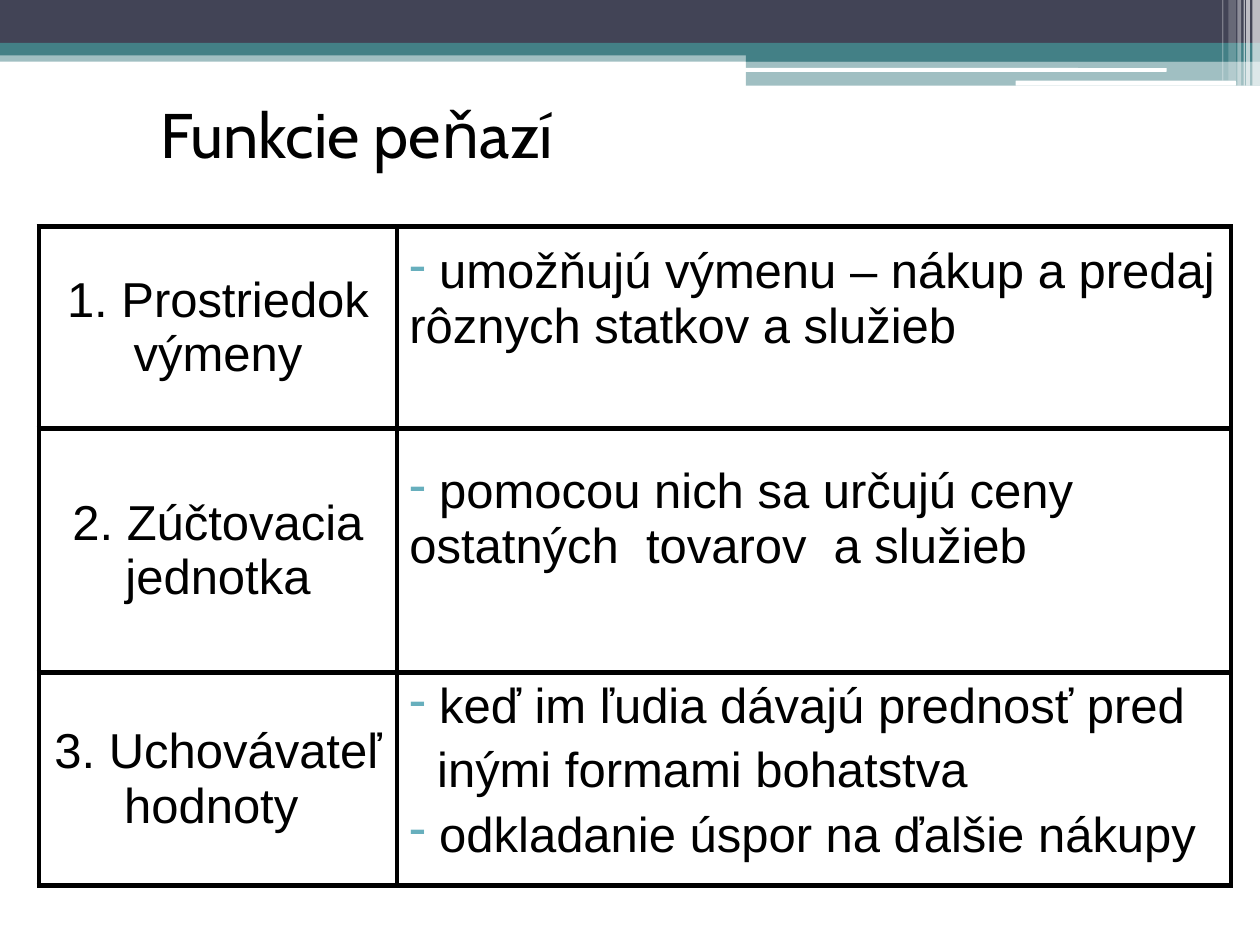
from lxml import etree
from pptx import Presentation
from pptx.dml.color import RGBColor
from pptx.enum.shapes import MSO_SHAPE
from pptx.enum.text import MSO_ANCHOR, MSO_AUTO_SIZE, PP_ALIGN
from pptx.oxml.ns import qn
from pptx.util import Inches, Pt

RECTANGLE, ROUNDED = MSO_SHAPE.RECTANGLE, MSO_SHAPE.ROUNDED_RECTANGLE
MIDDLE, TOP = MSO_ANCHOR.MIDDLE, MSO_ANCHOR.TOP
LEFT, CENTER = PP_ALIGN.LEFT, PP_ALIGN.CENTER
NO_AUTOFIT = MSO_AUTO_SIZE.NONE

WIDTH, HEIGHT = 10, 7.5
DARK, TEAL, WHITE, BLACK, BULLET = "424456", "438086", "FFFFFF", "000000", "67AFBD"
SPLIT = 5.92  # where the right-hand bands begin

# Horizontal bands: left, top, width, height, colour, opacity in percent
BANDS = [
    (0, 0.4, WIDTH, 0.09, TEAL, 50),
    (0, 0, WIDTH, 0.34, DARK, 100),
    (0, 0.34, WIDTH, 0.1, TEAL, 100),
    (SPLIT, 0.39, WIDTH - SPLIT, 0.1, TEAL, 100),
    (SPLIT, 0.48, WIDTH - SPLIT, 0.2, TEAL, 50),
]
# White rounded bars: left, top, width, height
BARS = [(5.91, 0.54, 3.35, 0.03), (8.06, 0.64, 1.75, 0.04)]
# White vertical stripes: left, width, height, opacity in percent
STRIPES = [
    (9.94, 0.06, 0.68, 65),
    (9.89, 0.03, 0.68, 65),
    (9.87, 0.01, 0.68, 60),
    (9.82, 0.03, 0.68, 40),
    (9.75, 0.06, 0.64, 20),
    (9.7, 0.01, 0.64, 30),
]

COLUMNS = [2.84, 6.62]
# Row height, function, its description as (text, bulleted), anchor, bottom margin
ROWS = [
    (1.6, "1. Prostriedok výmeny",
     [(" umožňujú výmenu – nákup a predaj rôznych statkov a služieb", True)],
     MIDDLE, 0.5),
    (1.94, "2. Zúčtovacia jednotka",
     [(" pomocou nich sa určujú ceny ostatných  tovarov  a služieb", True)],
     MIDDLE, 0.55),
    (1.69, "3. Uchovávateľ hodnoty ",
     [(" keď im ľudia dávajú prednosť pred", True),
      ("inými formami bohatstva", False),
      (" odkladanie úspor na ďalšie nákupy", True)],
     TOP, 0.05),
]


def color(value):
    return RGBColor.from_string(value)


def set_attributes(target, values):
    for name, value in values.items():
        setattr(target, name, value)


def format_font(font, name, size):
    set_attributes(font, {"name": name, "size": Pt(size), "bold": False})
    font.color.rgb = color(BLACK)


def add_block(slide, kind, box, fill, opacity=100):
    shape = slide.shapes.add_shape(kind, *(Inches(length) for length in box))
    shape.shadow.inherit = False
    shape.line.fill.background()
    shape.fill.solid()
    shape.fill.fore_color.rgb = color(fill)
    if opacity < 100:
        fill_color = shape.fill._xPr.find(qn("a:solidFill"))[0]
        etree.SubElement(fill_color, qn("a:alpha"), val=str(opacity * 1000))


def add_header(slide):
    for *box, fill, opacity in BANDS:
        add_block(slide, RECTANGLE, box, fill, opacity)
    for box in BARS:
        add_block(slide, ROUNDED, box, WHITE)
    for left, width, height, opacity in STRIPES:
        add_block(slide, RECTANGLE, (left, 0, width, height), WHITE, opacity)


def format_title(slide):
    title = slide.shapes.title
    set_attributes(title, {"left": Inches(1.17), "top": Inches(0.78),
                           "width": Inches(7.8), "height": Inches(0.55)})
    frame = title.text_frame
    frame.text = "Funkcie peňazí"
    set_attributes(frame, {"vertical_anchor": MIDDLE, "word_wrap": True,
                           "auto_size": NO_AUTOFIT})
    frame.paragraphs[0].alignment = LEFT
    format_font(frame.paragraphs[0].runs[0].font, "Cabin", 36)


def add_dash(paragraph):
    properties = paragraph._p.get_or_add_pPr()
    bullet_color = etree.SubElement(properties, qn("a:buClr"))
    etree.SubElement(bullet_color, qn("a:srgbClr"), val=BULLET)
    etree.SubElement(properties, qn("a:buChar"), char="-")


def set_borders(cell, width=3):
    properties = cell._tc.get_or_add_tcPr()
    for side in ("lnL", "lnR", "lnT", "lnB"):
        line = etree.SubElement(properties, qn(f"a:{side}"), w=str(Pt(width)))
        fill = etree.SubElement(line, qn("a:solidFill"))
        etree.SubElement(fill, qn("a:srgbClr"), val=BLACK)


def fill_cell(cell, items, alignment, anchor=MIDDLE, bottom=0.05):
    set_borders(cell)
    cell.fill.background()
    set_attributes(cell, {"vertical_anchor": anchor, "margin_bottom": Inches(bottom)})
    frame = cell.text_frame
    for index, (text, bulleted) in enumerate(items):
        paragraph = frame.add_paragraph() if index else frame.paragraphs[0]
        paragraph.alignment = alignment
        if index:
            paragraph.space_before = Pt(5.6)
        if bulleted:
            add_dash(paragraph)
        elif alignment == LEFT:
            # Continuation line, set in under the bulleted text
            paragraph._p.get_or_add_pPr().set("marL", str(Inches(0.22)))
        run = paragraph.add_run()
        run.text = text
        format_font(run.font, "Arial", 28)


def add_functions_table(slide):
    heights = [row[0] for row in ROWS]
    frame = slide.shapes.add_table(
        len(ROWS), len(COLUMNS), Inches(0.31), Inches(1.8),
        Inches(sum(COLUMNS)), Inches(sum(heights)))
    table = frame.table
    set_attributes(table, {"first_row": False, "horz_banding": False})
    for column, width in zip(table.columns, COLUMNS):
        column.width = Inches(width)
    for row, (height, name, description, anchor, bottom) in zip(table.rows, ROWS):
        row.height = Inches(height)
        fill_cell(row.cells[0], [(name, False)], CENTER)
        fill_cell(row.cells[1], description, LEFT, anchor, bottom)


def main():
    presentation = Presentation()
    presentation.slide_width = Inches(WIDTH)
    presentation.slide_height = Inches(HEIGHT)
    slide = presentation.slides.add_slide(presentation.slide_layouts[5])
    add_header(slide)
    format_title(slide)
    add_functions_table(slide)
    presentation.save("out.pptx")


if __name__ == "__main__":
    main()
